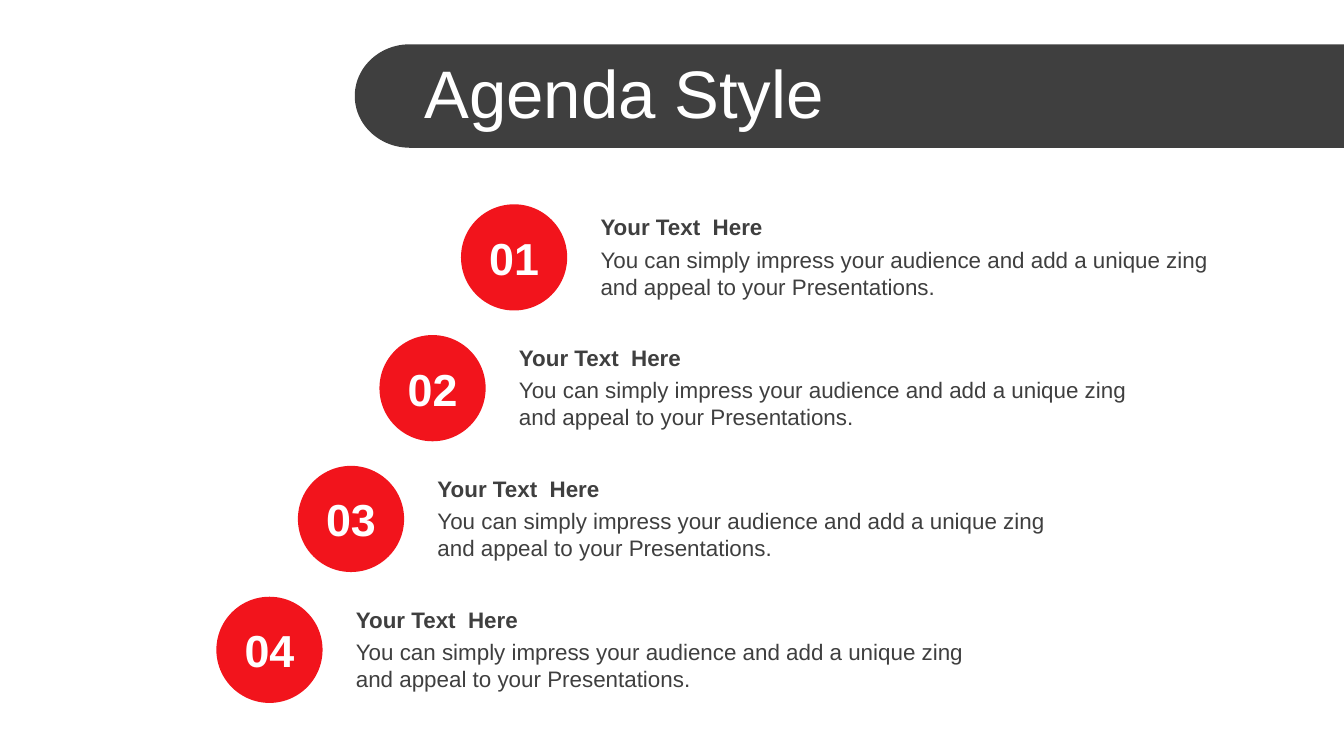
from math import cos, pi, sin

from pptx import Presentation
from pptx.dml.color import RGBColor
from pptx.enum.shapes import MSO_SHAPE
from pptx.enum.text import MSO_ANCHOR, PP_ALIGN
from pptx.util import Inches, Pt

CHARCOAL = RGBColor(0x3F, 0x3F, 0x3F)
RED = RGBColor(0xF2, 0x14, 0x1C)
WHITE = RGBColor(0xFF, 0xFF, 0xFF)
FONT = "Arial"

SLIDE_WIDTH = 10
SLIDE_HEIGHT = SLIDE_WIDTH * 9 / 16
ARC_STEPS = 48
CIRCLE_SIZE = 0.79
FIRST_LEFT, LAST_LEFT = 3.43, 1.61
FIRST_TOP, LAST_TOP = 1.52, 4.44

DESCRIPTION = (
    "You can simply impress your audience and add a unique zing "
    "and appeal to your Presentations."
)
AGENDA = [
    ("01", "Your Text  Here", DESCRIPTION),
    ("02", "Your Text  Here", DESCRIPTION),
    ("03", "Your Text  Here", DESCRIPTION),
    ("04", "Your Text  Here", DESCRIPTION),
]


def paint(shape, color):
    """Give a shape a flat fill without line or shadow."""
    shape.fill.solid()
    shape.fill.fore_color.rgb = color
    shape.line.fill.background()
    shape.shadow.inherit = False


def add_text(shapes, box, text, size, color, bold=False,
             anchor=MSO_ANCHOR.TOP, alignment=PP_ALIGN.LEFT):
    """Add a wrapped one-paragraph text box."""
    frame = shapes.add_textbox(*map(Inches, box)).text_frame
    frame.word_wrap = True
    frame.vertical_anchor = anchor
    paragraph = frame.paragraphs[0]
    paragraph.alignment = alignment
    run = paragraph.add_run()
    run.text = text
    run.font.name = FONT
    run.font.size = Pt(size)
    run.font.bold = bold
    run.font.color.rgb = color


def add_title_banner(slide, left, top, width, height, title):
    """Draw the banner with a rounded left end and its title."""
    radius_x, radius_y = 0.41, height / 2
    right, bottom = left + width, top + height
    angles = [pi / 2 + pi * step / ARC_STEPS for step in range(ARC_STEPS + 1)]
    arc = [
        (left + radius_x * (1 + cos(angle)), top + radius_y * (1 + sin(angle)))
        for angle in angles
    ]
    builder = slide.shapes.build_freeform(
        Inches(right), Inches(top), scale=1.0
    )
    outline = [(right, bottom)] + arc
    builder.add_line_segments(
        [(Inches(x), Inches(y)) for x, y in outline], close=True
    )
    paint(builder.convert_to_shape(), CHARCOAL)
    text_left = left + 0.42
    add_text(slide.shapes, (text_left, top + 0.04, right - text_left, 0.63),
             title, 36, WHITE, anchor=MSO_ANCHOR.MIDDLE)


def add_agenda_item(slide, left, top, size, number, heading, description):
    """Draw one numbered circle with the heading and description beside it."""
    circle = slide.shapes.add_shape(
        MSO_SHAPE.OVAL, *map(Inches, (left, top, size, size))
    )
    paint(circle, RED)
    number_height = 0.5
    number_top = top + (size - number_height) / 2
    add_text(slide.shapes, (left, number_top, size, number_height),
             number, 24, WHITE, bold=True,
             anchor=MSO_ANCHOR.MIDDLE, alignment=PP_ALIGN.CENTER)
    text_left, text_width = left + size + 0.15, 5.04
    group = slide.shapes.add_group_shape()
    add_text(group.shapes, (text_left, top + 0.26, text_width, 0.5),
             description, 12, CHARCOAL)
    add_text(group.shapes, (text_left, top + 0.02, text_width, 0.3),
             heading, 12, CHARCOAL, bold=True)


def add_agenda(slide, items):
    """Step the agenda items evenly down and to the left."""
    for index, item in enumerate(items):
        share = index / (len(items) - 1)
        left = FIRST_LEFT + share * (LAST_LEFT - FIRST_LEFT)
        top = FIRST_TOP + share * (LAST_TOP - FIRST_TOP)
        add_agenda_item(slide, left, top, CIRCLE_SIZE, *item)


def main():
    """Build and save the agenda slide."""
    presentation = Presentation()
    presentation.slide_width = Inches(SLIDE_WIDTH)
    presentation.slide_height = Inches(SLIDE_HEIGHT)
    slide = presentation.slides.add_slide(presentation.slide_layouts[6])
    add_title_banner(slide, 2.64, 0.33, SLIDE_WIDTH - 2.64, 0.77,
                     "Agenda Style")
    add_agenda(slide, AGENDA)
    presentation.save("out.pptx")


if __name__ == "__main__":
    main()
